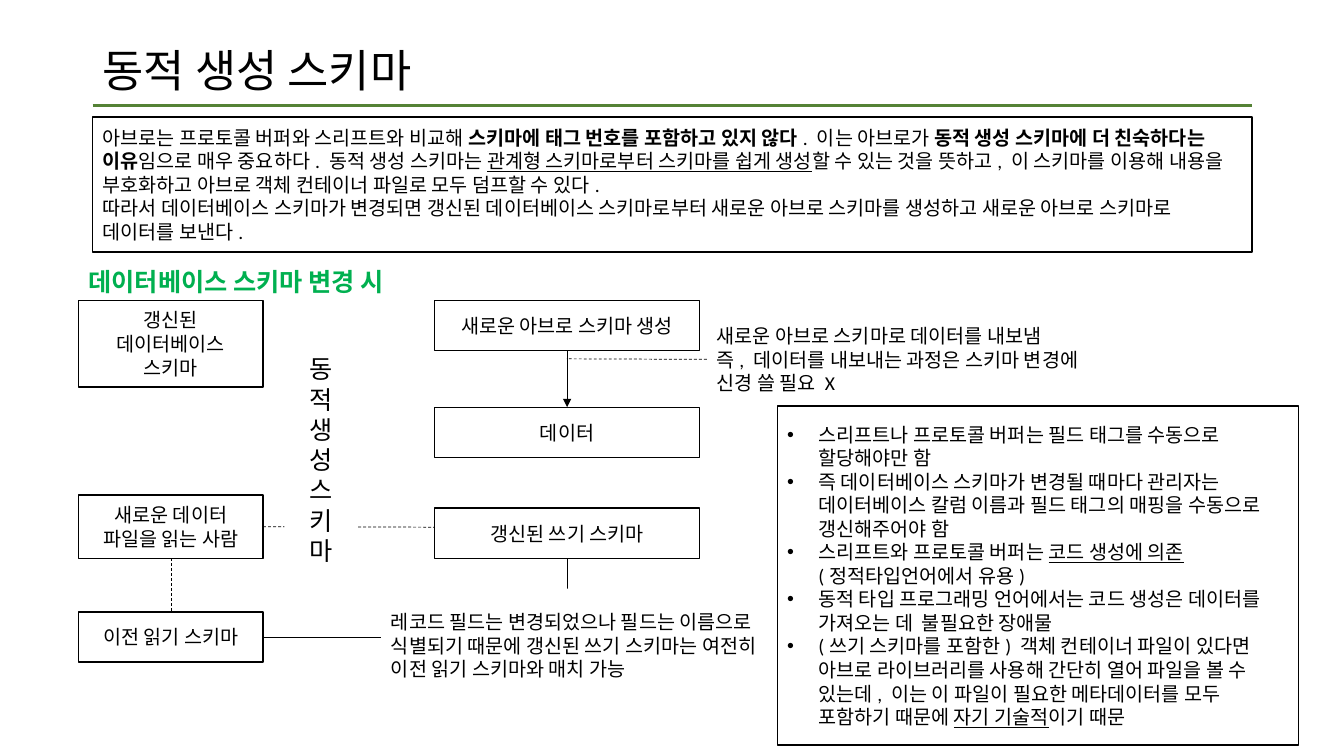
"""Build the slide on dynamically generated schemas."""
from lxml.etree import SubElement
from pptx import Presentation
from pptx.dml.color import RGBColor
from pptx.enum.dml import MSO_LINE
from pptx.enum.shapes import MSO_CONNECTOR, MSO_SHAPE
from pptx.enum.text import MSO_ANCHOR, PP_ALIGN
from pptx.oxml.ns import qn
from pptx.util import Inches, Pt

COLORS = {"ink": "000000", "paper": "FFFFFF", "rule": "548235", "head": "00B050"}

deck = Presentation()
deck.slide_width, deck.slide_height = Inches(13.33), Inches(7.5)
slide = deck.slides.add_slide(deck.slide_layouts[6])


def add_box(area, paras, size=14, color="ink", edge=None, fill=None,
            align=PP_ALIGN.LEFT, bullet=False):
    """Add a text box or rectangle; each paragraph lists (text, style) runs."""
    area = [Inches(n) for n in area]
    if edge or fill:
        box = slide.shapes.add_shape(MSO_SHAPE.RECTANGLE, *area)
        box.shadow.inherit = False
        if fill:
            box.fill.solid()
            box.fill.fore_color.rgb = RGBColor.from_string(COLORS[fill])
        else:
            box.fill.background()
        if edge:
            box.line.color.rgb = RGBColor.from_string(COLORS[edge])
            box.line.width = Pt(1)
        else:
            box.line.fill.background()
    else:
        box = slide.shapes.add_textbox(*area)
    frame = box.text_frame
    frame.word_wrap = True
    frame.vertical_anchor = MSO_ANCHOR.MIDDLE
    for i, runs in enumerate(paras):
        para = frame.add_paragraph() if i else frame.paragraphs[0]
        para.alignment = align
        if bullet:
            props = para._p.get_or_add_pPr()
            props.set("marL", str(Inches(0.31)))
            props.set("indent", str(Inches(-0.31)))
            SubElement(props, qn("a:buFont")).set("typeface", "Arial")
            SubElement(props, qn("a:buChar")).set("char", "•")
        para.font.name = "Calibri"
        para.font.size = Pt(size)
        para.font.color.rgb = RGBColor.from_string(COLORS[color])
        for text, style in runs:
            run = para.add_run()
            run.text = text
            if style == "b":
                run.font.bold = True
            elif style == "u":
                run.font.underline = True
    return box


def add_line(start, end, color="ink", width=0.5, dash=False, kind=MSO_CONNECTOR.STRAIGHT):
    """Add a connector between two points."""
    line = slide.shapes.add_connector(kind, *[Inches(n) for n in start + end])
    SubElement(line._element.spPr, qn("a:effectLst"))
    line.line.color.rgb = RGBColor.from_string(COLORS[color])
    line.line.width = Pt(width)
    if dash:
        line.line.dash_style = MSO_LINE.DASH
    return line


add_line((0.92, 1.05), (12.42, 1.05), "rule", 2.25)
title = add_box((0.92, 0.4, 11.5, 0.65), [[("동적 생성 스키마", "")]], 32)
title.text_frame.paragraphs[0].line_spacing = 0.9

add_box((0.92, 1.16, 11.5, 1.34), [
    [("아브로는 프로토콜 버퍼와 스리프트와 비교해 ", ""),
     ("스키마에 태그 번호를 포함하고 있지 않다", "b"),
     (". 이는 아브로가 ", ""),
     ("동적 생성 스키마에 더 친숙하다는 이유", "b"),
     ("임으로 매우 중요하다. 동적 생성 스키마는 ", ""),
     ("관계형 스키마로부터 스키마를 쉽게 생성", "u"),
     ("할 수 있는 것을 뜻하고, 이 스키마를 이용해 내용을 부호화하고 "
      "아브로 객체 컨테이너 파일로 모두 덤프할 수 있다.", "")],
    [("따라서 데이터베이스 스키마가 변경되면 갱신된 데이터베이스 스키마로부터 "
      "새로운 아브로 스키마를 생성하고 새로운 아브로 스키마로 데이터를 보낸다.", "")],
], edge="ink")
add_box((0.78, 2.61, 4.84, 0.36), [[("데이터베이스 스키마 변경 시", "b")]], 18, "head")

nodes = {}
for name, left, top, width, height, text in [
    ("base", 0.78, 2.98, 1.83, 0.86, "갱신된 데이터베이스 스키마"),
    ("make", 4.31, 2.98, 2.63, 0.5, "새로운 아브로 스키마 생성"),
    ("data", 4.31, 4.04, 2.63, 0.5, "데이터"),
    ("user", 0.78, 4.91, 1.83, 0.63, "새로운 데이터 파일을 읽는 사람"),
    ("write", 4.31, 5.04, 2.63, 0.5, "갱신된 쓰기 스키마"),
    ("read", 0.78, 6.07, 1.83, 0.5, "이전 읽기 스키마"),
]:
    nodes[name] = add_box((left, top, width, height), [[(text, "")]],
                          edge="ink", align=PP_ALIGN.CENTER)

export = add_box((7.01, 3.12, 4.04, 0.89), [
    [("새로운 아브로 스키마로 데이터를 내보냄", "")],
    [("즉, 데이터를 내보내는 과정은 스키마 변경에 신경 쓸 필요 X", "")],
])

flow = add_line((5.63, 3.48), (5.63, 4.04))
flow.begin_connect(nodes["make"], 2)
flow.end_connect(nodes["data"], 0)
SubElement(flow.line._get_or_add_ln(), qn("a:tailEnd")).set("type", "triangle")

link = add_line((1.7, 5.54), (1.7, 6.07), dash=True)
link.begin_connect(nodes["user"], 2)
link.end_connect(nodes["read"], 0)

link = add_line((2.61, 5.23), (4.31, 5.23), dash=True)
link.begin_connect(nodes["user"], 3)

label = add_box((2.82, 2.98, 0.72, 3.16), [[("동적생성스키마", "")]], 18,
                fill="paper", align=PP_ALIGN.CENTER)
label.text_frame._txBody.bodyPr.set("vert", "wordArtVert")

bend = add_line((2.61, 6.32), (5.63, 5.54), kind=MSO_CONNECTOR.ELBOW)
bend._element.spPr.find(qn("a:prstGeom")).set("prst", "bentConnector2")

add_box((3.78, 5.84, 4.04, 1.13), [
    [("레코드 필드는 변경되었으나 필드는 이름으로 식별되기 때문에 "
      "갱신된 쓰기 스키마는 여전히 이전 읽기 스키마와 매치 가능", "")],
], fill="paper")

add_box((7.71, 4.03, 5.17, 3.36), [
    [("스리프트나 프로토콜 버퍼는 필드 태그를 수동으로 할당해야만 함", "")],
    [("즉 데이터베이스 스키마가 변경될 때마다 관리자는 데이터베이스 칼럼 이름과 "
      "필드 태그의 매핑을 수동으로 갱신해주어야 함", "")],
    [("스리프트와 프로토콜 버퍼는 ", ""), ("코드 생성에 의존", "u"),
     ("(정적타입언어에서 유용)", "")],
    [("동적 타입 프로그래밍 언어에서는 코드 생성은 데이터를 가져오는 데  불필요한 장애물", "")],
    [("(쓰기 스키마를 포함한) 객체 컨테이너 파일이 있다면 아브로 라이브러리를 사용해 "
      "간단히 열어 파일을 볼 수 있는데, 이는 이 파일이 필요한 메타데이터를 모두 "
      "포함하기 때문에 ", ""), ("자기 기술적", "u"), ("이기 때문", "")],
], edge="ink", bullet=True)

link = add_line((7.01, 3.56), (5.62, 3.56), dash=True)
link.begin_connect(export, 1)

deck.save("out.pptx")
